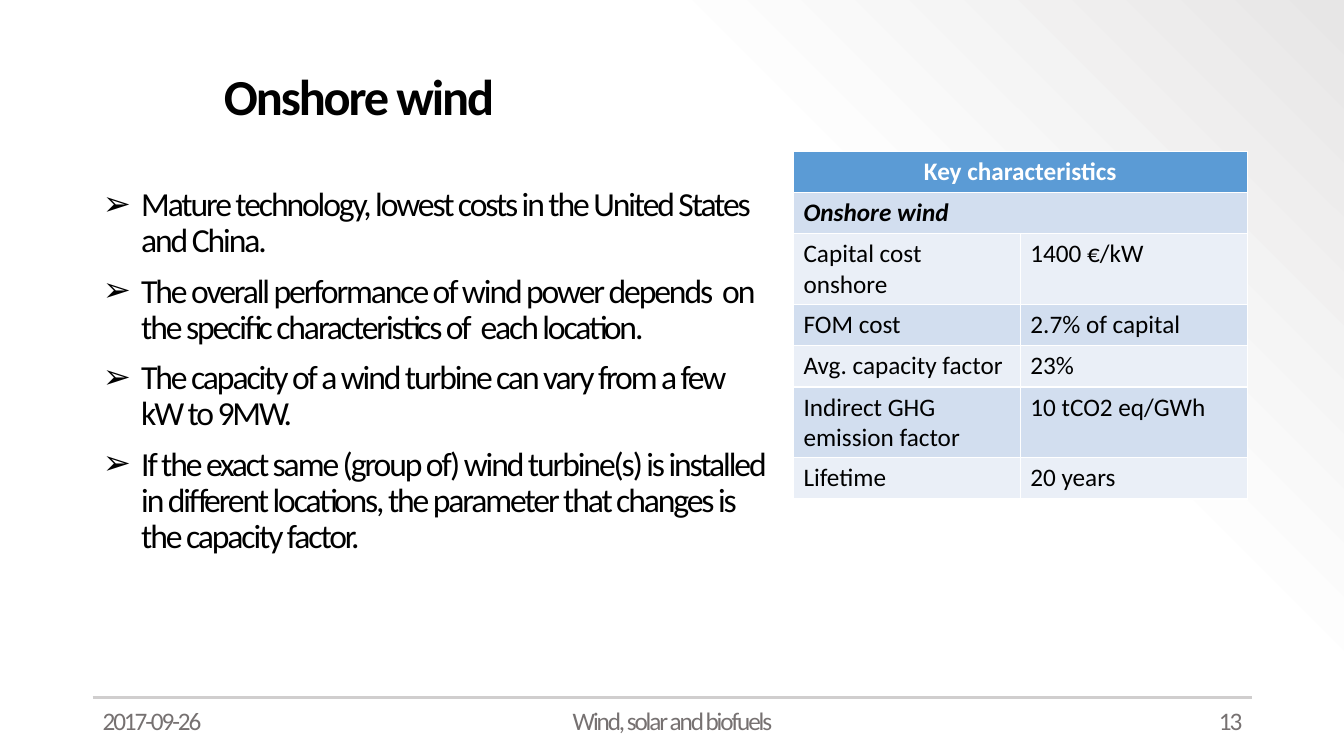
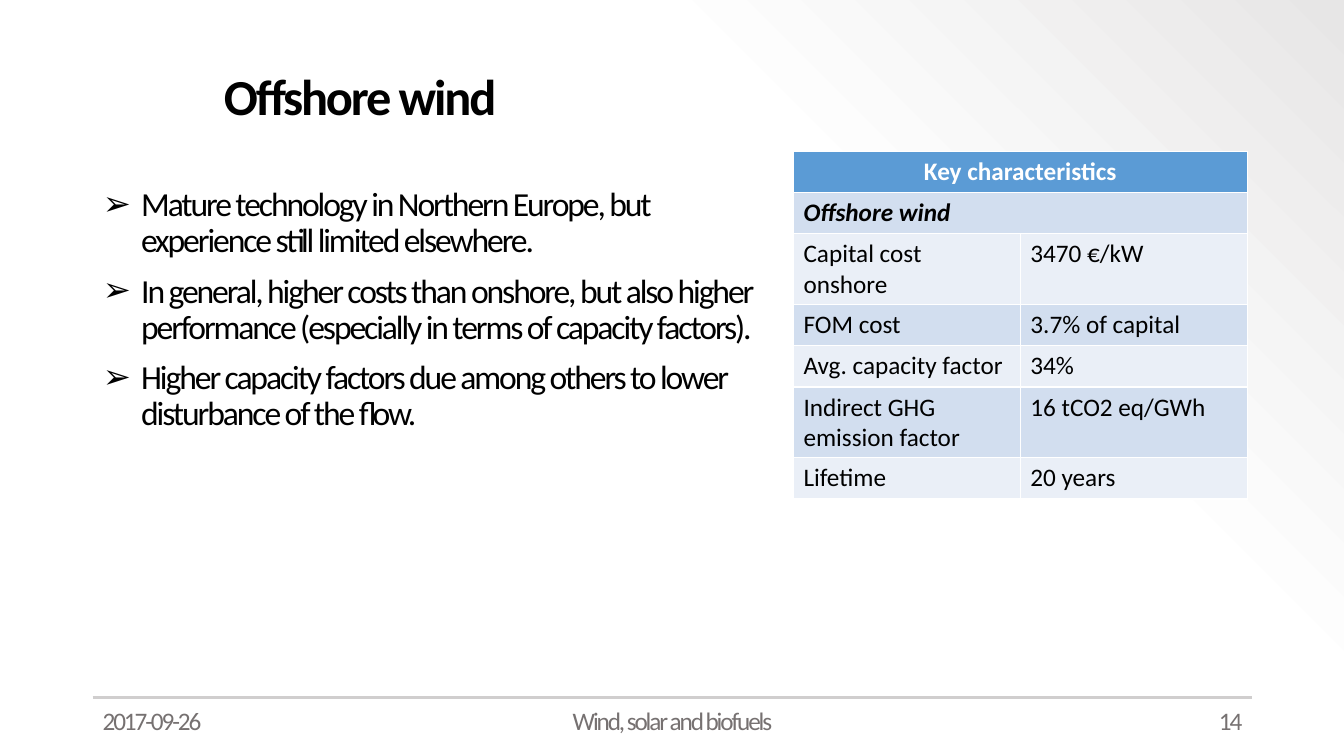
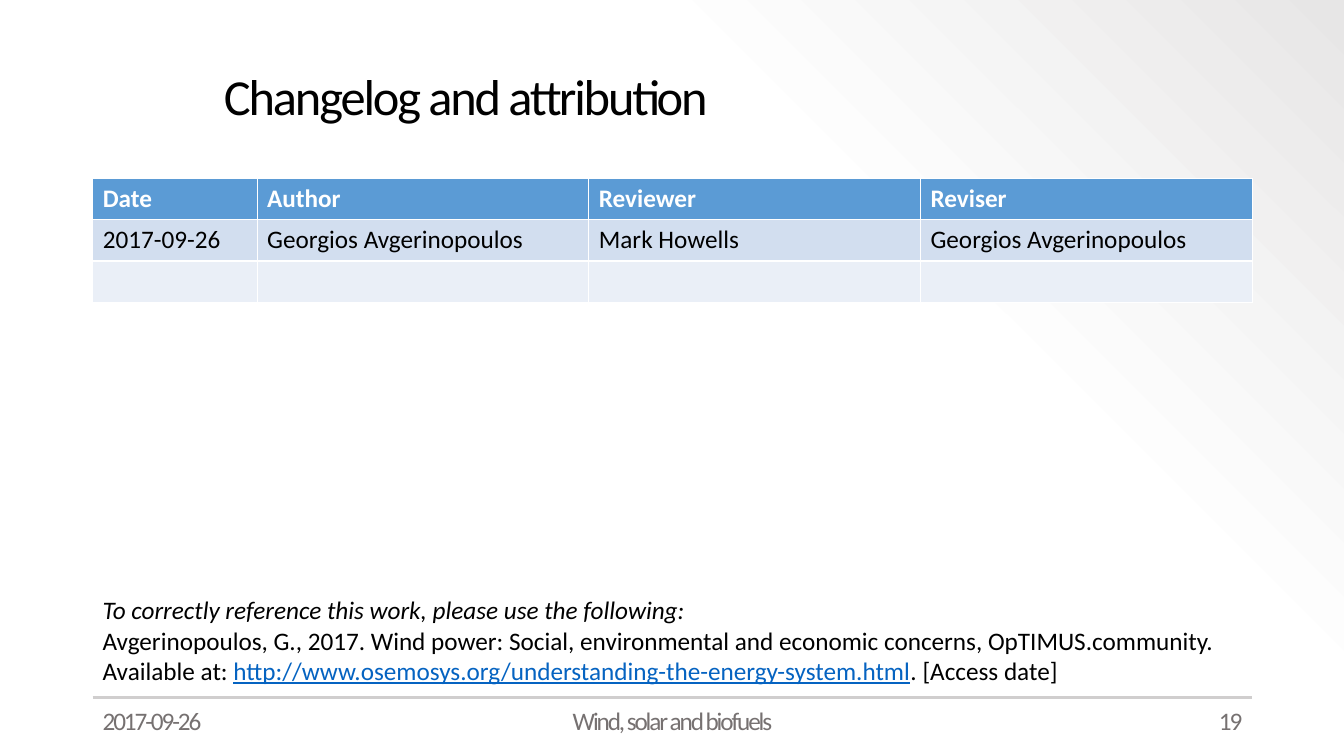
"""Build three slides on wind power: two technology profiles and a changelog."""
from dataclasses import dataclass
from pptx import Presentation, oxml
from pptx.dml.color import RGBColor
from pptx.enum import shapes, text
from pptx.oxml import ns
from pptx.util import Inches, Pt


@dataclass(frozen=True)
class Theme:
    font: str = "Calibri"
    ink: str = "000000"
    white: str = "FFFFFF"
    grey: str = "767171"
    rule: str = "D0CECE"
    link: str = "0563C1"
    head: str = "5B9BD5"
    bands: tuple = ("D2DEEF", "EAEFF7")
    fade: tuple = ((0, "FFFFFF", 100), (69, "FDFDFD", 100), (100, "E7E6E6", 50))
    title: int = 36
    body: int = 24
    small: int = 18
    tight: int = -150


T = Theme()
LEFT, WIDE = 0.92, 11.5
ROW = 0.41
DATE = "2017-09-26"
ALIGN = text.PP_ALIGN
FOOT = [
    (LEFT, 3, ALIGN.LEFT, DATE),
    (4.42, 4.5, ALIGN.CENTER, "Wind, solar and biofuels"),
    (9.42, 3, ALIGN.RIGHT, None),
]
LABELS = ["Capital cost onshore", "FOM cost", "Avg. capacity factor",
          "Indirect GHG emission factor", "Lifetime"]
WINDS = [
    {"no": 13, "name": "Onshore wind",
     "points": [
         "Mature technology, lowest costs in the United States and China.",
         "The overall performance of wind power depends  on the specific "
         "characteristics of  each location.",
         "The capacity of a wind turbine can vary from a few kW to 9MW.",
         "If the exact same (group of) wind turbine(s) is installed in different "
         "locations, the parameter that changes is the capacity factor."],
     "values": ["1400 €/kW", "2.7% of capital", "23%", "10 tCO2 eq/GWh", "20 years"]},
    {"no": 14, "name": "Offshore wind",
     "points": [
         "Mature technology in Northern Europe, but experience still limited elsewhere.",
         "In general, higher costs than onshore, but also higher performance "
         "(especially in terms of capacity factors).",
         "Higher capacity factors due among others to lower disturbance of the flow."],
     "values": ["3470 €/kW", "3.7% of capital", "34%", "16 tCO2 eq/GWh", "20 years"]},
]
LOG = [
    ["Date", "Author", "Reviewer", "Reviser"],
    [DATE, "Georgios Avgerinopoulos", "Mark Howells", "Georgios Avgerinopoulos"],
    [""] * 4,
]
CITE = [
    [("To correctly reference this work, please use the following:", "note")],
    [("Avgerinopoulos, G., 2017. Wind power: Social, environmental and economic "
      "concerns, OpTIMUS.community. Available at: ", "plain"),
     ("http://www.osemosys.org/understanding-the-energy-system.html", "link"),
     (". [Access date]", "plain")],
]


def style(run, size, color=T.ink, bold=False, italic=False):
    font = run.font
    font.name, font.size = T.font, Pt(size)
    font.bold, font.italic = bold, italic
    font.color.rgb = RGBColor.from_string(color)


def place(shape, left, top, width, height):
    shape.left, shape.top = Inches(left), Inches(top)
    shape.width, shape.height = Inches(width), Inches(height)


def squeeze(shape):
    for props in shape.element.xpath(".//a:rPr"):
        props.set("spc", str(T.tight))


def add_box(slide, left, top, width, height):
    box = slide.shapes.add_textbox(*map(Inches, (left, top, width, height)))
    box.text_frame.word_wrap = True
    return box


def add_page(deck, layout, name, number, bold):
    slide = deck.slides.add_slide(deck.slide_layouts[layout])
    title = slide.shapes.title
    place(title, 2.12, 0.37, 10.3, 1.22)
    frame = title.text_frame
    frame.text = name
    frame.auto_size = text.MSO_AUTO_SIZE.NONE
    frame.vertical_anchor = text.MSO_ANCHOR.MIDDLE
    para = frame.paragraphs[0]
    para.alignment, para.line_spacing = ALIGN.LEFT, 0.9
    style(para.runs[0], T.title, bold=bold)
    squeeze(title)
    for left, width, align, words in FOOT:
        box = add_box(slide, left, 6.95, width, 0.4)
        para = box.text_frame.paragraphs[0]
        para.text = words or str(number)
        para.alignment = align
        style(para.runs[0], T.small, T.grey)
        squeeze(box)
    return slide


def add_list(slide, points):
    body = slide.placeholders[1]
    place(body, LEFT, 1.81, 6.78, 5.37)
    frame = body.text_frame
    frame.text = "\n".join(points)
    frame.auto_size = text.MSO_AUTO_SIZE.NONE
    for mark in body.element.xpath(".//a:p"):
        props = mark.get_or_add_pPr()
        props.set("marL", str(Inches(0.38)))
        props.set("indent", str(-Inches(0.38)))
        props.append(oxml.parse_xml(f'<a:buChar {ns.nsdecls("a")} char="➢"/>'))
    for i, para in enumerate(frame.paragraphs):
        para.line_spacing = 0.9
        para.space_before = Pt(10 if i else 0)
        style(para.runs[0], T.body)
    squeeze(body)


def add_grid(slide, left, top, cols, rows):
    size = map(Inches, (left, top, sum(cols), ROW * len(rows)))
    grid = slide.shapes.add_table(len(rows), len(cols), *size).table
    for col, width in zip(grid.columns, cols):
        col.width = Inches(width)
    for r, row in enumerate(rows):
        grid.rows[r].height = Inches(ROW)
        for c, words in enumerate(row):
            cell = grid.cell(r, c)
            cell.fill.solid()
            shade = T.bands[(r - 1) % 2] if r else T.head
            cell.fill.fore_color.rgb = RGBColor.from_string(shade)
            cell.text = words
            for run in cell.text_frame.paragraphs[0].runs:
                style(run, T.small, T.ink if r else T.white, bold=not r)
    return grid


def add_wind(deck, wind):
    name = wind["name"]
    slide = add_page(deck, 1, name, wind["no"], True)
    add_list(slide, wind["points"])
    rows = [["Key characteristics", ""], [name, ""], *zip(LABELS, wind["values"])]
    grid = add_grid(slide, 7.87, 1.5, [2.25] * 2, rows)
    for r in range(2):
        grid.cell(r, 0).merge(grid.cell(r, 1))
    grid.cell(0, 0).text_frame.paragraphs[0].alignment = ALIGN.CENTER
    style(grid.cell(1, 0).text_frame.paragraphs[0].runs[0], T.small, bold=True, italic=True)


def add_log(deck):
    slide = add_page(deck, 5, "Changelog and attribution", 19, False)
    add_grid(slide, LEFT, 1.77, [1.63] + [3.29] * 3, LOG)
    frame = add_box(slide, LEFT, 5.9, WIDE, 0.93).text_frame
    frame.margin_top = frame.margin_bottom = 0
    for i, parts in enumerate(CITE):
        para = frame.add_paragraph() if i else frame.paragraphs[0]
        for words, kind in parts:
            run = para.add_run()
            run.text = words
            link = kind == "link"
            style(run, T.small, T.link if link else T.ink, italic=kind == "note")
            run.font.underline = link


def set_master(deck):
    master = deck.slide_master
    fill = master.background.fill
    fill.gradient()
    fill.gradient_angle = 45
    stops = master.element.xpath(".//p:bg//a:gsLst")[0]
    for stop in list(stops):
        stops.remove(stop)
    for pos, color, alpha in T.fade:
        stops.append(oxml.parse_xml(
            f'<a:gs {ns.nsdecls("a")} pos="{pos * 1000}"><a:srgbClr val="{color}">'
            f'<a:alpha val="{alpha * 1000}"/></a:srgbClr></a:gs>'))
    ends = map(Inches, (LEFT, 6.92, LEFT + WIDE, 6.92))
    rule = deck.slides[0].shapes.add_connector(shapes.MSO_CONNECTOR.STRAIGHT, *ends)
    rule.line.color.rgb = RGBColor.from_string(T.rule)
    rule.line.width = Pt(1.5)
    rule.element.spPr.append(oxml.parse_xml(f'<a:effectLst {ns.nsdecls("a")}/>'))
    rule.element.xpath(".//p:cNvPr")[0].set("id", "20")
    master.shapes.element.append(rule.element)


def main():
    deck = Presentation()
    deck.slide_width, deck.slide_height = Inches(13.33), Inches(7.5)
    for wind in WINDS:
        add_wind(deck, wind)
    add_log(deck)
    set_master(deck)
    deck.save("out.pptx")


if __name__ == "__main__":
    main()
